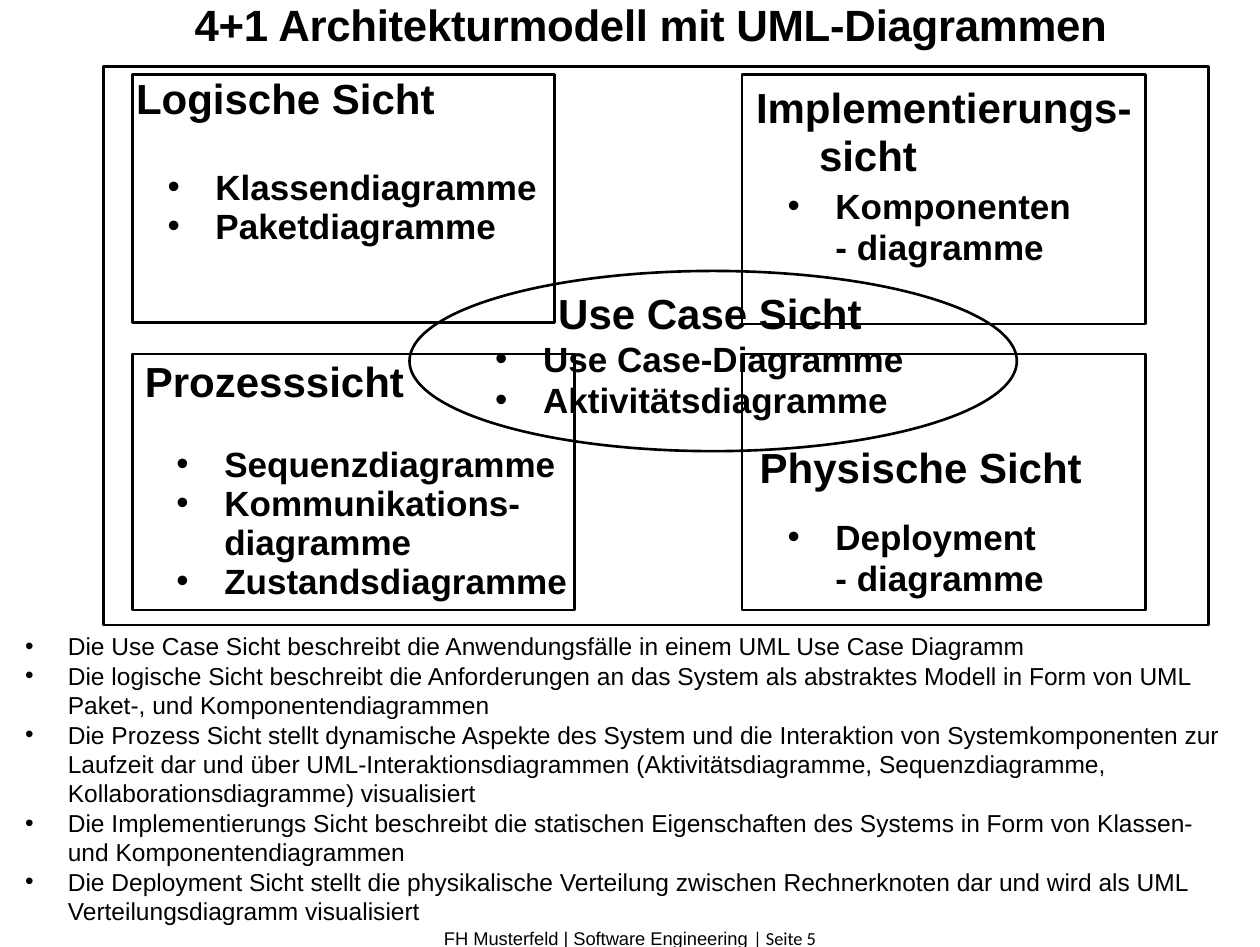
from lxml import etree
from pptx import Presentation
from pptx.dml.color import RGBColor
from pptx.enum import shapes, text
from pptx.oxml import ns
from pptx.util import Inches, Pt

BLACK = RGBColor(0, 0, 0)
RECT, OVAL = shapes.MSO_SHAPE.RECTANGLE, shapes.MSO_SHAPE.OVAL

TITLE = "4+1 Architekturmodell mit UML-Diagrammen"
FOOTER = [("FH Musterfeld | Software Engineering ", "Arial"),
          ("| Seite 5", "Calibri")]

OUTLINES = [
    (RECT, (1.05, 0.59, 3.35, 1.97)),
    (RECT, (1.05, 2.81, 3.51, 2.03)),
    (RECT, (5.89, 2.81, 3.2, 2.03)),
    (RECT, (5.89, 0.59, 3.2, 1.98)),
    (OVAL, (3.25, 2.15, 4.82, 1.43)),
    (RECT, (0.82, 0.53, 8.77, 4.43)),
]

# Indents are (left margin, first line) in inches; spacing is in points.
VIEWS = [
    dict(box=(1.07, 0.6, 3.33, 1.37), heading="Logische Sicht",
         heading_indent=(0.01, 0), heading_line=27.2, gap=26.2,
         bullets=["Klassendiagramme", "Paketdiagramme"],
         indent=(0.64, -0.38), line=22.2),
    dict(box=(1.14, 2.91, 3.41, 1.85), heading="Prozesssicht",
         heading_indent=(0.01, 0), heading_line=22.3, gap=22.3,
         bullets=["Sequenzdiagramme", "Kommunikations-diagramme",
                  "Zustandsdiagramme"],
         indent=(0.64, -0.38), line=22.4),
    dict(box=(6.02, 3.5, 2.97, 0.41), heading="Physische Sicht",
         heading_indent=(0.01, 0), heading_line=None, gap=0,
         bullets=[], indent=None, line=None),
    dict(box=(6.24, 4.1, 2.05, 0.65), heading=None, gap=0,
         bullets=["Deployment\n- diagramme"],
         indent=(0.39, -0.38), line=23.3),
    dict(box=(5.99, 0.66, 3.01, 1.47), heading="Implementierungs- sicht",
         heading_indent=(0.51, -0.5), heading_line=27.6, gap=3.5,
         bullets=["Komponenten\n- diagramme"],
         indent=(0.64, -0.38), line=23.3),
    dict(box=(3.92, 2.29, 3.59, 1.07), heading="Use Case Sicht",
         heading_indent=(0.51, 0), heading_line=28.4, gap=0,
         bullets=["Use Case-Diagramme", "Aktivitätsdiagramme"],
         indent=(0.39, -0.38), line=23.6),
]

NOTES = [
    "Die Use Case Sicht beschreibt die Anwendungsfälle in einem UML Use Case "
    "Diagramm",
    "Die logische Sicht beschreibt die Anforderungen an das System als "
    "abstraktes Modell in Form von UML Paket-, und Komponentendiagrammen",
    "Die Prozess Sicht stellt dynamische Aspekte des System und die "
    "Interaktion von Systemkomponenten zur Laufzeit dar und über "
    "UML-Interaktionsdiagrammen (Aktivitätsdiagramme, Sequenzdiagramme, "
    "Kollaborationsdiagramme) visualisiert",
    "Die Implementierungs Sicht beschreibt die statischen Eigenschaften des "
    "Systems in Form von Klassen- und Komponentendiagrammen",
    "Die Deployment Sicht stellt die physikalische Verteilung zwischen "
    "Rechnerknoten dar und wird als UML Verteilungsdiagramm visualisiert",
]


def prepare_frame(sp, inset=0):
    tf = sp.text_frame
    tf.word_wrap = True
    tf.auto_size = text.MSO_AUTO_SIZE.NONE
    tf.vertical_anchor = text.MSO_ANCHOR.TOP
    tf.margin_left = tf.margin_right = Inches(inset)
    tf.margin_top = tf.margin_bottom = Inches(inset / 2)
    return tf


def add_text_box(s, box, inset=0):
    return prepare_frame(s.shapes.add_textbox(*map(Inches, box)), inset)


def add_run(p, words, size, bold=False, font="Arial"):
    r = p.add_run()
    r.text = words
    r.font.name, r.font.size, r.font.bold = font, Pt(size), bold
    r.font.color.rgb = BLACK
    return r


def add_paragraph(tf, words, size, indent, bold=False, bullet=False,
                  line=None, before=0):
    """Fill the empty first paragraph or append one; newlines become breaks."""
    p = tf.paragraphs[0]
    if p.runs:
        p = tf.add_paragraph()
    p.space_before = Pt(before)
    if line:
        p.line_spacing = Pt(line)
    pPr = p._p.get_or_add_pPr()
    pPr.set("marL", str(Inches(indent[0])))
    pPr.set("indent", str(Inches(indent[1])))
    if bullet:
        etree.SubElement(pPr, ns.qn("a:buFont")).set("typeface", "Arial")
        etree.SubElement(pPr, ns.qn("a:buChar")).set("char", "•")
    for i, part in enumerate(words.split("\n")):
        if i:
            p.add_line_break()
        add_run(p, part, size, bold)


def add_outline(s, kind, box):
    sp = s.shapes.add_shape(kind, *map(Inches, box))
    sp.shadow.inherit = False
    sp.fill.background()
    sp.line.color.rgb = BLACK
    sp.line.width = Pt(1.5)


def add_view(s, view):
    tf = add_text_box(s, view["box"])
    if view["heading"]:
        add_paragraph(tf, view["heading"], 24, view["heading_indent"],
                      bold=True, line=view["heading_line"])
    for i, words in enumerate(view["bullets"]):
        add_paragraph(tf, words, 20, view["indent"], bold=True, bullet=True,
                      line=view["line"], before=0 if i else view["gap"])


def main():
    prs = Presentation()
    prs.slide_width, prs.slide_height = Pt(720), Pt(541)
    s = prs.slides.add_slide(prs.slide_layouts[5])

    title = s.shapes.title
    title.left, title.top, title.width, title.height = map(
        Inches, (0.75, -0.02, 8.83, 0.42))
    p = prepare_frame(title).paragraphs[0]
    p.alignment = text.PP_ALIGN.CENTER
    r = add_run(p, TITLE, 25, bold=True)
    r.font._element.set("spc", "-15")

    for kind, box in OUTLINES:
        add_outline(s, kind, box)
    for view in VIEWS:
        add_view(s, view)

    tf = add_text_box(s, (0.1, 4.96, 9.85, 2.69), inset=0.1)
    for note in NOTES:
        add_paragraph(tf, note, 14, (0.34, -0.34), bullet=True)

    p = add_text_box(s, (0, 7.36, 10, 0.31)).paragraphs[0]
    p.alignment = text.PP_ALIGN.CENTER
    for words, font in FOOTER:
        add_run(p, words, 10.5, font=font)

    prs.save("out.pptx")


if __name__ == "__main__":
    main()
